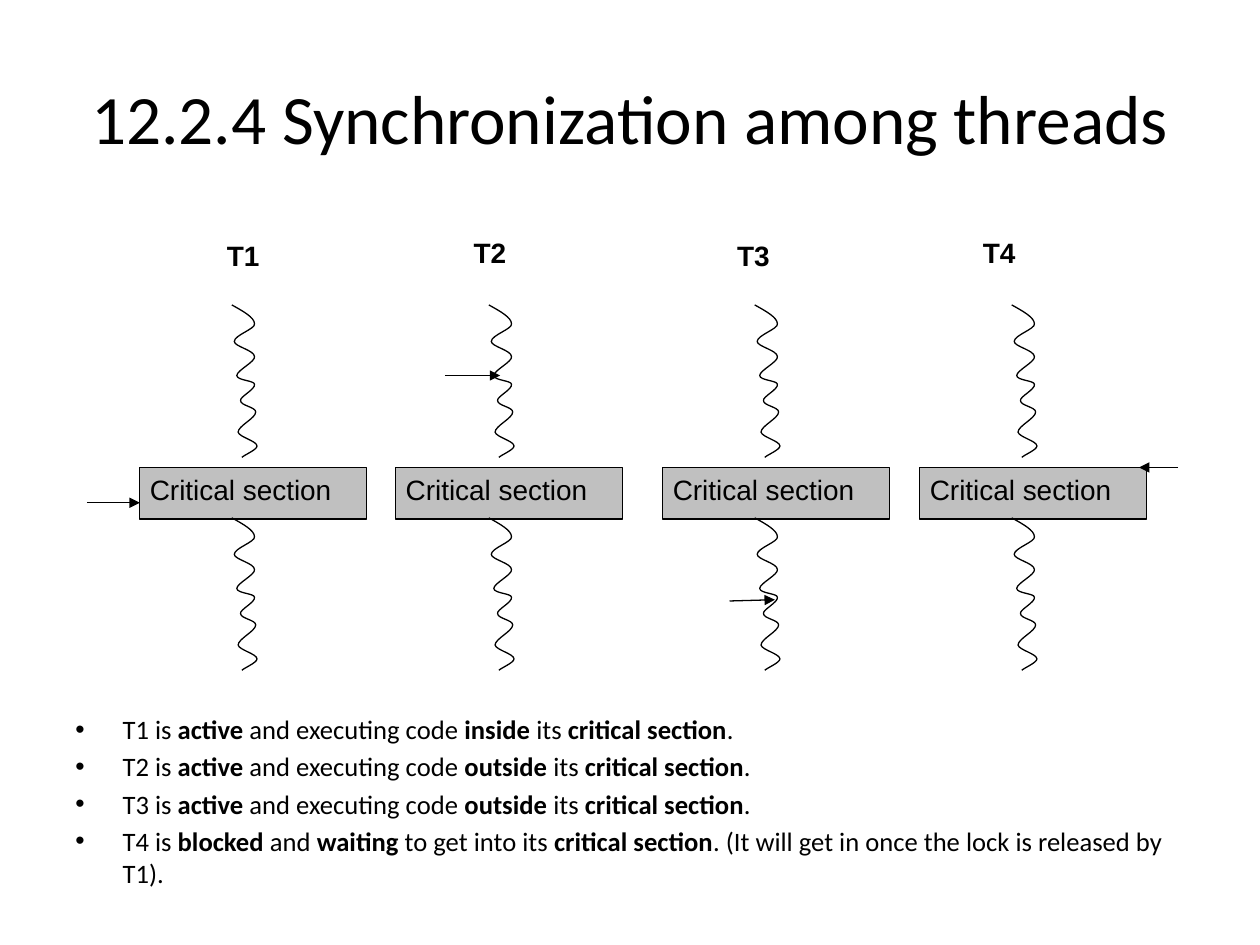
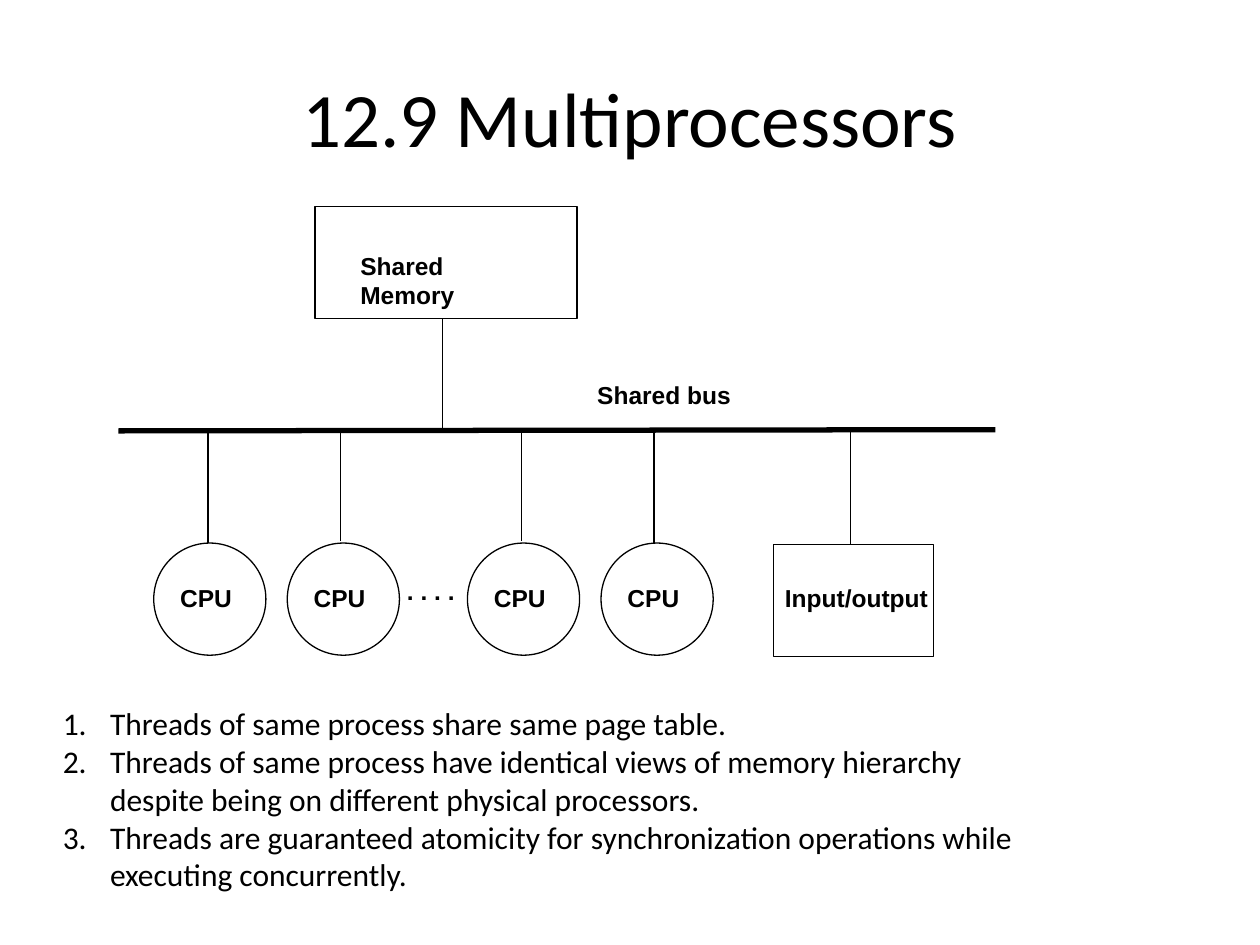
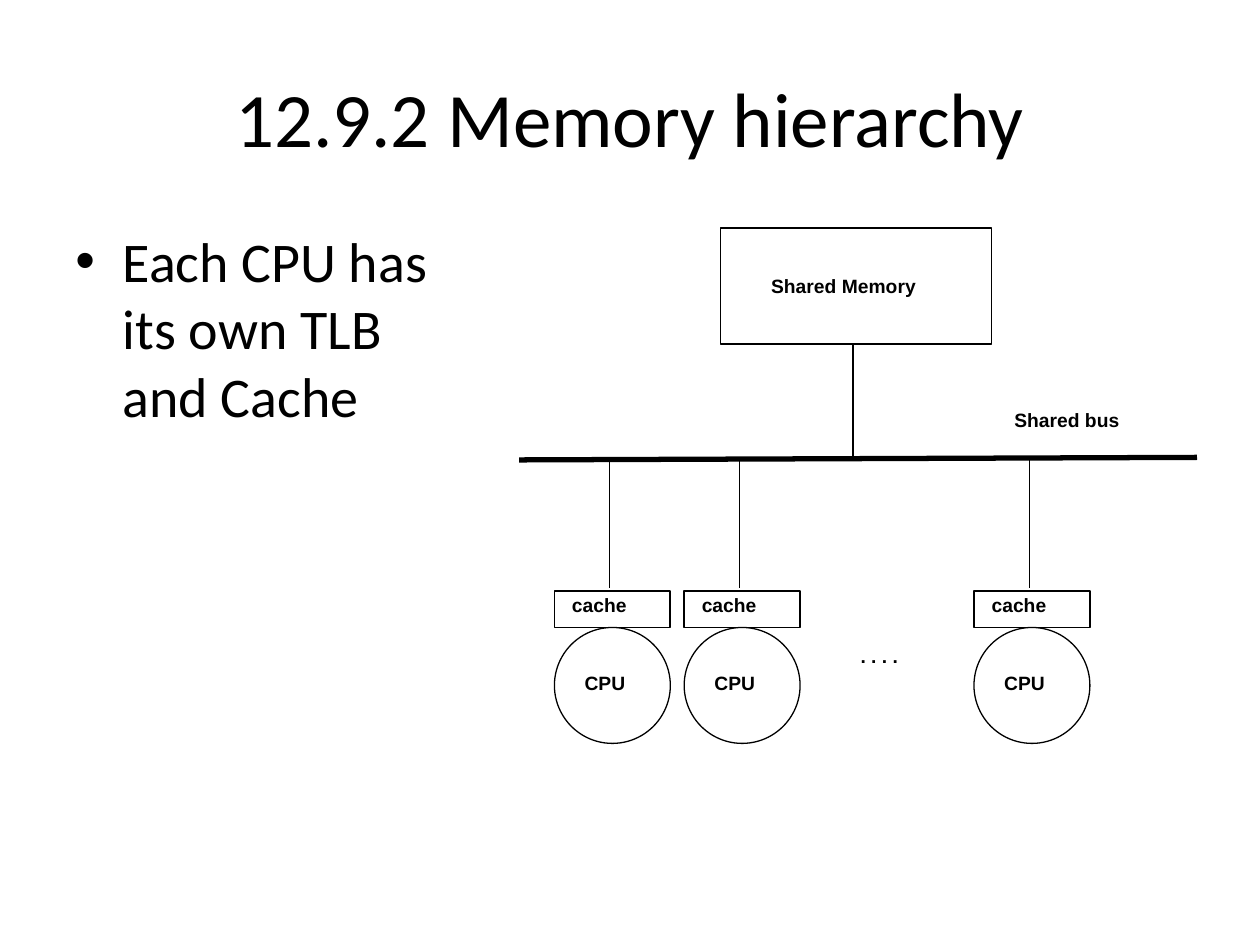
from pptx import Presentation
from pptx.dml.color import RGBColor
from pptx.enum import shapes, text
from pptx.oxml import ns
from pptx.util import Inches, Pt
from lxml import etree

BLACK = RGBColor(0x00, 0x00, 0x00)
GREY = RGBColor(0xC0, 0xC0, 0xC0)
HEADING_FONT = "Calibri"
LABEL_FONT = "Arial"
TITLE_ONLY = 5
RECTANGLE = shapes.MSO_SHAPE.RECTANGLE
OVAL = shapes.MSO_SHAPE.OVAL
LIST_INDENT = Pt(27)
DOT = ("a:buChar", "char", "•")
NUMBER = ("a:buAutoNum", "type", "arabicPeriod")

# Cubic curves of a thread from its top: two control points and an end each.
THREAD_CURVES = [
    ((0.09, 0.05), (0.18, 0.10), (0.18, 0.15)),
    ((0.19, 0.19), (0.02, 0.24), (0.02, 0.29)),
    ((0.02, 0.33), (0.18, 0.36), (0.18, 0.41)),
    ((0.19, 0.45), (0.04, 0.52), (0.04, 0.56)),
    ((0.04, 0.60), (0.18, 0.60), (0.18, 0.63)),
    ((0.19, 0.67), (0.06, 0.73), (0.07, 0.76)),
    ((0.07, 0.80), (0.19, 0.81), (0.19, 0.85)),
    ((0.19, 0.90), (0.05, 0.96), (0.05, 1.01)),
    ((0.06, 1.05), (0.20, 1.08), (0.20, 1.12)),
    ((0.20, 1.15), (0.10, 1.19), (0.08, 1.21)),
]


def lines_to_curves(shape):
    """Turn every three line segments of a freeform into one cubic curve."""
    segments = list(shape._element.iter(ns.qn("a:lnTo")))
    for start in range(0, len(segments), 3):
        curve = etree.Element(ns.qn("a:cubicBezTo"))
        segments[start].addprevious(curve)
        for segment in segments[start:start + 3]:
            curve.append(segment[0])
            segment.getparent().remove(segment)


def write_text(frame, paragraphs, size, font=LABEL_FONT, bold=False, align=None,
               anchor=text.MSO_ANCHOR.TOP, inset=(0.1, 0.05), before=0, bullet=None):
    """Fill a text frame; words between asterisks are bold."""
    frame.word_wrap = True
    frame.auto_size = text.MSO_AUTO_SIZE.NONE
    frame.vertical_anchor = anchor
    frame.margin_left = frame.margin_right = Inches(inset[0])
    frame.margin_top = frame.margin_bottom = Inches(inset[1])
    for index, content in enumerate(paragraphs):
        paragraph = frame.add_paragraph() if index else frame.paragraphs[0]
        paragraph.alignment = align or text.PP_ALIGN.LEFT
        paragraph.space_before = Pt(before)
        if bullet:
            add_bullet(paragraph, *bullet)
        for part, words in enumerate(content.split("*")):
            run = paragraph.add_run()
            run.text = words
            run.font.name = font
            run.font.size = Pt(size)
            run.font.bold = bold or part % 2 == 1
            run.font.color.rgb = BLACK


def add_bullet(paragraph, tag, attribute, value):
    properties = paragraph._p.get_or_add_pPr()
    properties.set("marL", str(LIST_INDENT))
    properties.set("indent", str(-LIST_INDENT))
    font = etree.SubElement(properties, ns.qn("a:buFont"))
    font.set("typeface", LABEL_FONT if tag == "a:buChar" else "+mj-lt")
    etree.SubElement(properties, ns.qn(tag)).set(attribute, value)


class Deck:
    def __init__(self):
        self.presentation = Presentation()
        self.presentation.slide_width = Inches(10)
        self.presentation.slide_height = Inches(7.5)
        self.slide = None
        self.label_style = {}

    def new_slide(self, title, title_size=44, **label_style):
        """Start a titled slide whose labels share label_style."""
        layout = self.presentation.slide_layouts[TITLE_ONLY]
        self.slide = self.presentation.slides.add_slide(layout)
        self.label_style = label_style
        shape = self.slide.shapes.title
        shape.left, shape.top = Inches(0.5), Inches(0.3)
        shape.width, shape.height = Inches(9), Inches(1.25)
        write_text(shape.text_frame, [title], title_size, font=HEADING_FONT,
                   align=text.PP_ALIGN.CENTER, anchor=text.MSO_ANCHOR.MIDDLE)

    def text_box(self, left, top, width, height, paragraphs, **style):
        box = self.slide.shapes.add_textbox(*map(Inches, (left, top, width, height)))
        write_text(box.text_frame, paragraphs, **style)

    def body(self, left, top, width, height, paragraphs, **style):
        self.text_box(left, top, width, height, paragraphs, font=HEADING_FONT, **style)

    def label(self, left, top, width, height, words):
        self.text_box(left, top, width, height, [words], bold=True, **self.label_style)

    def outline(self, shape, weight=0.75, fill=None):
        shape.shadow.inherit = False
        shape.line.color.rgb = BLACK
        shape.line.width = Pt(weight)
        if fill is None:
            shape.fill.background()
        else:
            shape.fill.solid()
            shape.fill.fore_color.rgb = fill

    def shape(self, kind, left, top, width, height, words=None, **look):
        shape = self.slide.shapes.add_shape(kind, *map(Inches, (left, top, width, height)))
        self.outline(shape, **look)
        if words:
            write_text(shape.text_frame, [words], **self.label_style)

    def thread(self, left, top):
        points = [(Inches(left + x), Inches(top + y))
                  for curve in THREAD_CURVES for x, y in curve]
        builder = self.slide.shapes.build_freeform(Inches(left), Inches(top))
        builder.add_line_segments(points, close=False)
        shape = builder.convert_to_shape()
        lines_to_curves(shape)
        self.outline(shape)

    def line(self, x1, y1, x2, y2, weight=0.75, arrow=False):
        connector = self.slide.shapes.add_connector(
            shapes.MSO_CONNECTOR.STRAIGHT, *map(Inches, (x1, y1, x2, y2)))
        connector.line.color.rgb = BLACK
        connector.line.width = Pt(weight)
        if arrow:
            line = connector.line._get_or_add_ln()
            etree.SubElement(line, ns.qn("a:tailEnd")).set("type", "triangle")
        etree.SubElement(connector._element.spPr, ns.qn("a:effectLst"))


def synchronization_slide(deck):
    deck.new_slide("12.2.4 Synchronization among threads", title_size=39.6,
                   size=16, inset=(0.08, 0.04))
    columns = [(1.11, 1.84, 1.72, 1.85), (3.14, 3.88, 3.68, 1.83),
               (5.26, 5.99, 5.77, 1.85), (7.3, 8.03, 7.72, 1.83)]
    for number, (left, thread_left, label_left, label_top) in enumerate(columns, 1):
        deck.thread(thread_left, 2.42)
        deck.shape(RECTANGLE, left, 3.71, 1.8, 0.41, "Critical section", fill=GREY)
        deck.thread(thread_left, 4.11)
        deck.label(label_left, label_top, 0.57, 0.39, f"T{number}")
    for ends in [(0.69, 3.99, 1.11, 3.99), (3.53, 2.98, 3.97, 2.98),
                 (5.79, 4.77, 6.15, 4.76), (9.35, 3.71, 9.04, 3.71)]:
        deck.line(*ends, arrow=True)
    states = [f"T{number} is *active* and executing code *{place}* its *critical section*."
              for number, place in enumerate(("inside", "outside", "outside"), 1)]
    states.append("T4 is *blocked *and *waiting *to get into its *critical section*. "
                  "(It will get in once the lock is released by T1).")
    deck.body(0.5, 5.61, 9, 1.38, states, size=15.2, before=3.04, bullet=DOT)


def multiprocessors_slide(deck):
    deck.new_slide("12.9 Multiprocessors", size=14, inset=(0.06, 0.03))
    deck.shape(RECTANGLE, 2.5, 1.64, 2.08, 0.89)
    deck.label(2.8, 1.96, 1.57, 0.3, "Shared Memory")
    deck.line(3.51, 2.53, 3.51, 3.41)
    deck.line(0.94, 3.42, 7.9, 3.41, weight=3)
    deck.label(4.68, 2.99, 1.21, 0.3, "Shared bus")
    wires = [(1.65, 3.42, 4.31), (2.7, 3.41, 4.29), (4.14, 3.41, 4.29), (5.19, 3.42, 4.31)]
    for left, (wire, top, bottom) in zip((1.22, 2.28, 3.71, 4.77), wires):
        deck.shape(OVAL, left, 4.31, 0.89, 0.89)
        deck.label(left + 0.15, 4.6, 0.64, 0.3, "CPU")
        deck.line(wire, top, wire, bottom)
    deck.label(3.17, 4.54, 0.51, 0.3, ". . . .")
    deck.shape(RECTANGLE, 6.14, 4.32, 1.27, 0.89)
    deck.label(6.17, 4.6, 1.27, 0.3, "Input/output")
    deck.line(6.75, 3.41, 6.75, 4.32)
    deck.body(0.4, 5.54, 8.03, 1.65, [
        "Threads of same process share same page table.",
        "Threads of same process have identical views of memory hierarchy "
        "despite being on different physical processors.",
        "Threads are guaranteed atomicity for synchronization operations "
        "while executing concurrently.",
    ], size=18, bullet=NUMBER)


def memory_hierarchy_slide(deck):
    deck.new_slide("12.9.2 Memory hierarchy", size=11, inset=(0.08, 0.04))
    deck.body(0.5, 1.75, 3.35, 5.13, ["Each CPU has its own TLB and Cache"],
              size=32, before=6.4, bullet=DOT)
    deck.shape(RECTANGLE, 5.72, 1.81, 2.15, 0.92)
    deck.label(6.04, 2.14, 1.62, 0.31, "Shared Memory")
    deck.line(6.77, 2.73, 6.77, 3.63)
    deck.line(4.12, 3.65, 9.5, 3.63, weight=3)
    deck.label(7.97, 3.2, 1.25, 0.31, "Shared bus")
    for left in (4.4, 5.43, 7.73):
        deck.shape(RECTANGLE, left, 4.69, 0.92, 0.29, weight=1)
        deck.label(left + 0.06, 4.67, 0.74, 0.31, "cache")
        deck.shape(OVAL, left, 4.98, 0.92, 0.92)
        deck.label(left + 0.16, 5.29, 0.66, 0.31, "CPU")
        deck.line(left + 0.44, 3.65, left + 0.44, 4.67)
    deck.label(6.75, 5.07, 0.58, 0.31, ". . . .")


def main():
    deck = Deck()
    synchronization_slide(deck)
    multiprocessors_slide(deck)
    memory_hierarchy_slide(deck)
    deck.presentation.save("out.pptx")


if __name__ == "__main__":
    main()
